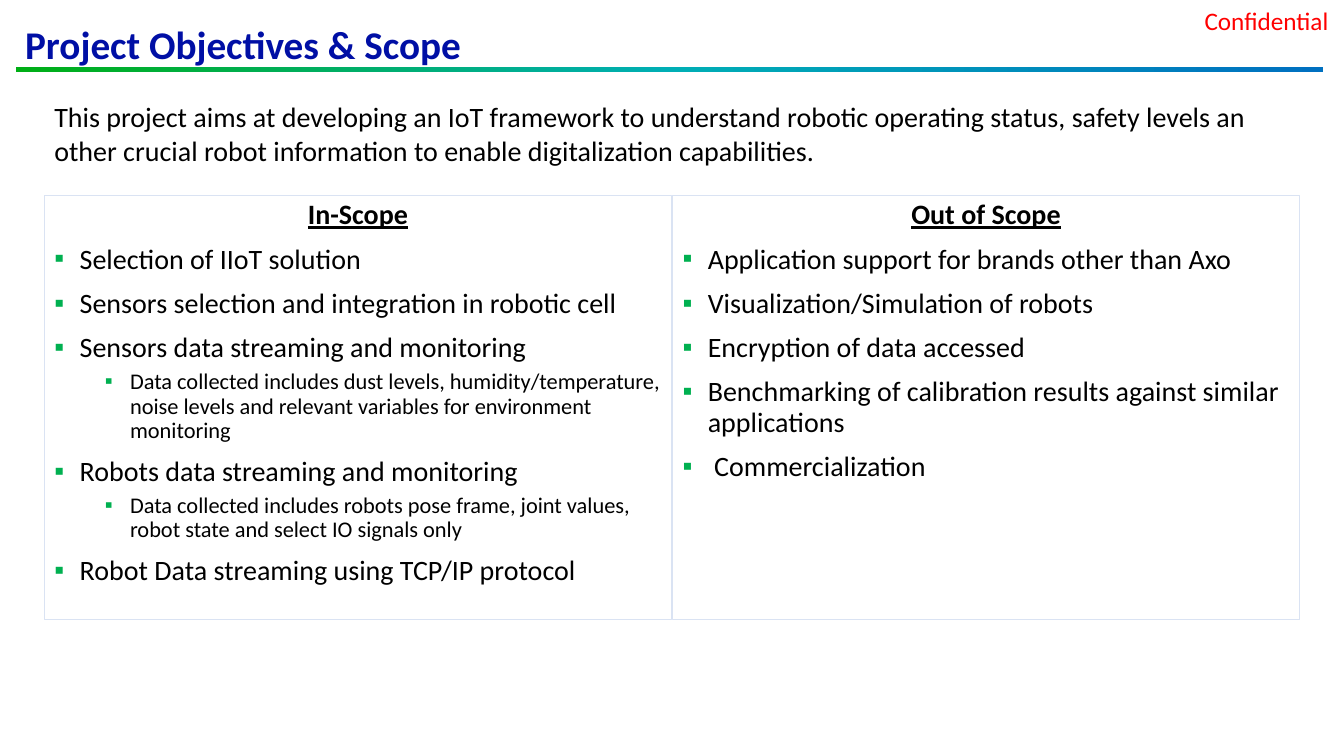
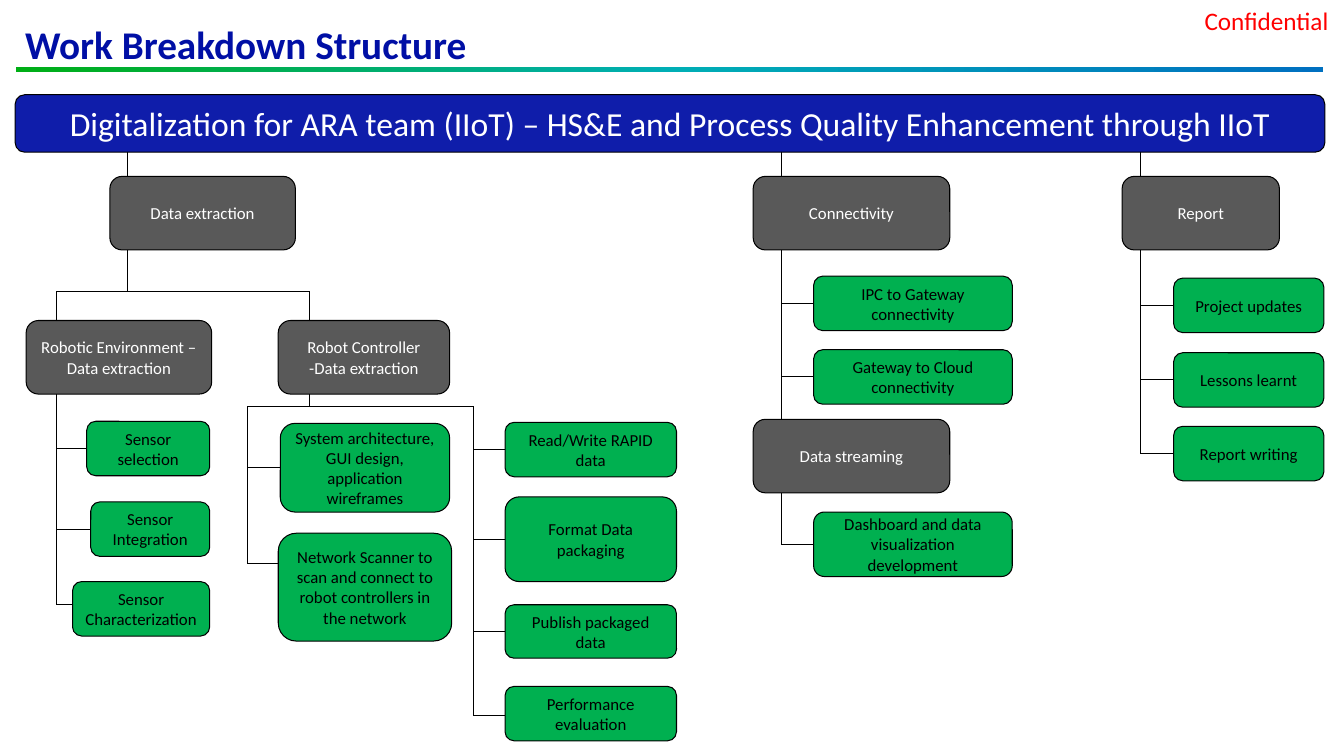
import copy
import pptx
import pptx.util
import pptx.dml.color
import pptx.enum.shapes
import pptx.enum.text
import pptx.oxml
import pptx.oxml.ns

Inches = pptx.util.Inches
Pt = pptx.util.Pt
Shape = pptx.enum.shapes.MSO_SHAPE
Align = pptx.enum.text.PP_ALIGN
Anchor = pptx.enum.text.MSO_ANCHOR
qn = pptx.oxml.ns.qn


class Theme:
    font = "Calibri"
    black, white, red = "000000", "FFFFFF", "FF0000"
    navy, blue, gray, green = "000FA5", "0F1DAA", "595959", "00B050"
    pale = "DAE3F3"
    fade = ("00AE15", "00AEB5", "0070C0")
    title, banner, body, mark, sub, node = 28, 24, 20, 18, 16, 12
    thin, hair = 0.75, 0.5


IN_SCOPE = [
    ("Selection of IIoT solution", 0),
    ("Sensors selection and integration in robotic cell", 0),
    ("Sensors data streaming and monitoring", 0),
    ("Data collected includes dust levels, humidity/temperature, noise levels "
     "and relevant variables for environment monitoring", 1),
    ("Robots data streaming and monitoring", 0),
    ("Data collected includes robots pose frame, joint values, robot state "
     "and select IO signals only", 1),
    ("Robot Data streaming using TCP/IP protocol", 0),
]
OUT_SCOPE = [
    ("Application support for brands other than Axo", 0),
    ("Visualization/Simulation of robots", 0),
    ("Encryption of data accessed", 0),
    ("Benchmarking of calibration results against similar applications", 0),
    (" Commercialization", 0),
]

# Trunk x, trunk top, then leaves: text, left, top, width, height[, stub y]
TREES = [
    (0.56, 2.89, [
        ("Sensor selection", 0.86, 4.18, 1.22, 0.54),
        ("Sensor Integration", 0.9, 4.98, 1.18, 0.54),
        ("Sensor Characterization", 0.72, 5.77, 1.36, 0.54, 6)]),
    (2.45, 4.03, [
        ("System architecture, GUI design, application wireframes",
         2.78, 4.2, 1.68, 0.88),
        ("Network Scanner to scan and connect to robot controllers in the "
         "network", 2.76, 5.29, 1.72, 1.07, 5.59)]),
    (4.7, 4.03, [
        ("Read/Write RAPID data", 5.01, 4.19, 1.7, 0.54),
        ("Format Data packaging", 5.01, 4.93, 1.7, 0.84),
        ("Publish packaged data", 5.01, 6, 1.7, 0.53),
        ("Performance evaluation", 5.01, 6.81, 1.7, 0.54, 7.1)]),
    (7.75, 1.4, [
        ("IPC to Gateway connectivity", 8.07, 2.74, 1.97, 0.54),
        ("Gateway to Cloud connectivity", 8.07, 3.47, 1.97, 0.54),
        ("Dashboard and data visualization development",
         8.07, 5.08, 1.97, 0.64)]),
    (11.31, 1.4, [
        ("Project updates", 11.64, 2.76, 1.49, 0.54),
        ("Lessons learnt", 11.64, 3.5, 1.49, 0.54),
        ("Report writing", 11.64, 4.23, 1.49, 0.54)]),
]
HEADS = [
    ("Data extraction", 1.09, 1.75, 1.84),
    ("Robotic Environment – Data extraction", 0.26, 3.18, 1.84),
    ("Robot Controller\v-Data extraction", 2.76, 3.18, 1.7),
    ("Connectivity", 7.47, 1.75, 1.95),
    ("Data streaming", 7.47, 4.16, 1.95),
    ("Report", 11.13, 1.75, 1.56),
]
LINKS = [
    (1.26, 1.4, 1.26, 2.89, Theme.thin),
    (0.56, 2.89, 3.07, 2.89, Theme.hair),
    (3.07, 2.89, 3.07, 4.03, Theme.hair),
    (2.45, 4.03, 4.7, 4.03, Theme.hair),
]


def rgb(code):
    return pptx.dml.color.RGBColor.from_string(code)


def write(frame, text, size=Theme.body, color=Theme.black, bold=False,
          under=False, align=Align.LEFT, pitch=None, before=0, level=0,
          bullet=False):
    """Add a paragraph, using the empty first one if there is one."""
    first = not frame.text
    para = frame.paragraphs[0] if first else frame.add_paragraph()
    para.text = text
    para.alignment = align
    para.level = level
    para.space_before = Pt(0 if first else before)
    if pitch:
        para.line_spacing = pitch
    mark(para, level, bullet)
    for run in para.runs:
        font = run.font
        font.name, font.size = Theme.font, Pt(size)
        font.bold, font.underline = bold, under
        font.color.rgb = rgb(color)


def mark(para, level, bullet):
    """Set the bullet and its hanging indent, or clear both."""
    props = para._p.get_or_add_pPr()
    left, hang = (0.25 + 0.5 * level, -0.25) if bullet else (0, 0)
    props.set("marL", str(Inches(left)))
    props.set("indent", str(Inches(hang)))
    if not bullet:
        props.append(pptx.oxml.parse_xml(
            f"<a:buNone {pptx.oxml.ns.nsdecls('a')}/>"))
        return
    for tag, inner in (("buClr", f'><a:srgbClr val="{Theme.green}"/></a:buClr>'),
                       ("buChar", ' char="▪"/>')):
        props.append(pptx.oxml.parse_xml(
            f"<a:{tag} {pptx.oxml.ns.nsdecls('a')}{inner}"))


def place(shape, left, top, width, height):
    shape.left, shape.top = Inches(left), Inches(top)
    shape.width, shape.height = Inches(width), Inches(height)
    frame = shape.text_frame
    frame.word_wrap = True
    frame.auto_size = pptx.enum.text.MSO_AUTO_SIZE.NONE
    return frame


def note(slide, text, left, top, width, height, **form):
    shape = slide.shapes.add_textbox(0, 0, 0, 0)
    write(place(shape, left, top, width, height), text, **form)


def box(slide, text, left, top, width, height, fill, **form):
    shape = slide.shapes.add_shape(Shape.ROUNDED_RECTANGLE, 0, 0, 0, 0)
    shape.shadow.inherit = False
    shape.fill.solid()
    shape.fill.fore_color.rgb = rgb(fill)
    shape.line.color.rgb = rgb(Theme.black)
    shape.line.width = Pt(Theme.thin)
    frame = place(shape, left, top, width, height)
    frame.vertical_anchor = Anchor.MIDDLE
    write(frame, text, align=Align.CENTER, **form)


def link(slide, x1, y1, x2, y2, width=Theme.thin):
    line = slide.shapes.add_connector(
        pptx.enum.shapes.MSO_CONNECTOR.STRAIGHT,
        Inches(x1), Inches(y1), Inches(x2), Inches(y2))
    line.line.color.rgb = rgb(Theme.black)
    line.line.width = Pt(width)
    line._element.spPr.append(pptx.oxml.parse_xml(
        f"<a:effectLst {pptx.oxml.ns.nsdecls('a')}/>"))


def band(slide):
    """Draw the fading rule under the title."""
    bar = slide.shapes.add_shape(Shape.RECTANGLE, Inches(0.16), Inches(0.66),
                                 Inches(12.96), Inches(0.05))
    bar.shadow.inherit = False
    bar.line.fill.background()
    bar.fill.gradient()
    bar.fill.gradient_angle = 0
    stops = bar._element.spPr.find(".//" + qn("a:gsLst"))
    stops.insert(1, copy.deepcopy(stops[0]))
    for pos, (stop, color) in enumerate(zip(bar.fill.gradient_stops, Theme.fade)):
        stop.position = pos / 2
        stop.color.rgb = rgb(color)


def start(deck, layout, title):
    """Add a slide with the shared title, rule and mark."""
    slide = deck.slides.add_slide(deck.slide_layouts.get_by_name(layout))
    band(slide)
    note(slide, "Confidential ", 10.19, 0, 3.14, 0.4, size=Theme.mark,
         color=Theme.red, align=Align.RIGHT)
    frame = place(slide.shapes.title, 0.15, 0.06, 11.76, 0.66)
    frame.vertical_anchor = Anchor.BOTTOM
    write(frame, title, size=Theme.title, color=Theme.navy, bold=True, pitch=0.9)
    return slide


def panel(holder, left, head, items):
    frame = place(holder, left, 1.94, 6.22, 4.21)
    holder.line.color.rgb = rgb(Theme.pale)
    holder.line.width = Pt(Theme.thin)
    write(frame, head, bold=True, under=True, align=Align.CENTER, pitch=0.9)
    for text, level in items:
        write(frame, text, size=Theme.sub if level else Theme.body,
              pitch=0.9, before=5 if level else 10, level=level, bullet=True)


def tree(slide, trunk, top, leaves):
    """Draw a trunk with one stub and box for each leaf."""
    for text, left, y, width, height, *stub in leaves:
        mid = stub[0] if stub else y + height / 2
        link(slide, trunk, mid, left, mid)
        box(slide, text, left, y, width, height, Theme.green, size=Theme.node)
    link(slide, trunk, top, trunk, mid)


def scope(deck):
    slide = start(deck, "Two Content", "Project Objectives & Scope")
    note(slide, "This project aims at developing an IoT framework to understand "
         "robotic operating status, safety levels an other crucial robot "
         "information to enable digitalization capabilities.",
         0.44, 0.94, 12.44, 0.77)
    panel(slide.placeholders[1], 0.44, "In-Scope", IN_SCOPE)
    panel(slide.placeholders[2], 6.67, "Out of Scope", OUT_SCOPE)


def work(deck):
    slide = start(deck, "Title Only", "Work Breakdown Structure")
    for ends in LINKS:
        link(slide, *ends)
    for branch in TREES:
        tree(slide, *branch)
    for head in HEADS:
        box(slide, *head, 0.73, Theme.gray, size=Theme.node, color=Theme.white)
    box(slide, "Digitalization for ARA team (IIoT) – HS&E and Process Quality "
        "Enhancement through IIoT", 0.15, 0.94, 12.99, 0.57, Theme.blue,
        size=Theme.banner, color=Theme.white)


def main():
    deck = pptx.Presentation()
    deck.slide_width, deck.slide_height = Inches(13.33), Inches(7.5)
    scope(deck)
    work(deck)
    deck.save("out.pptx")


if __name__ == "__main__":
    main()
